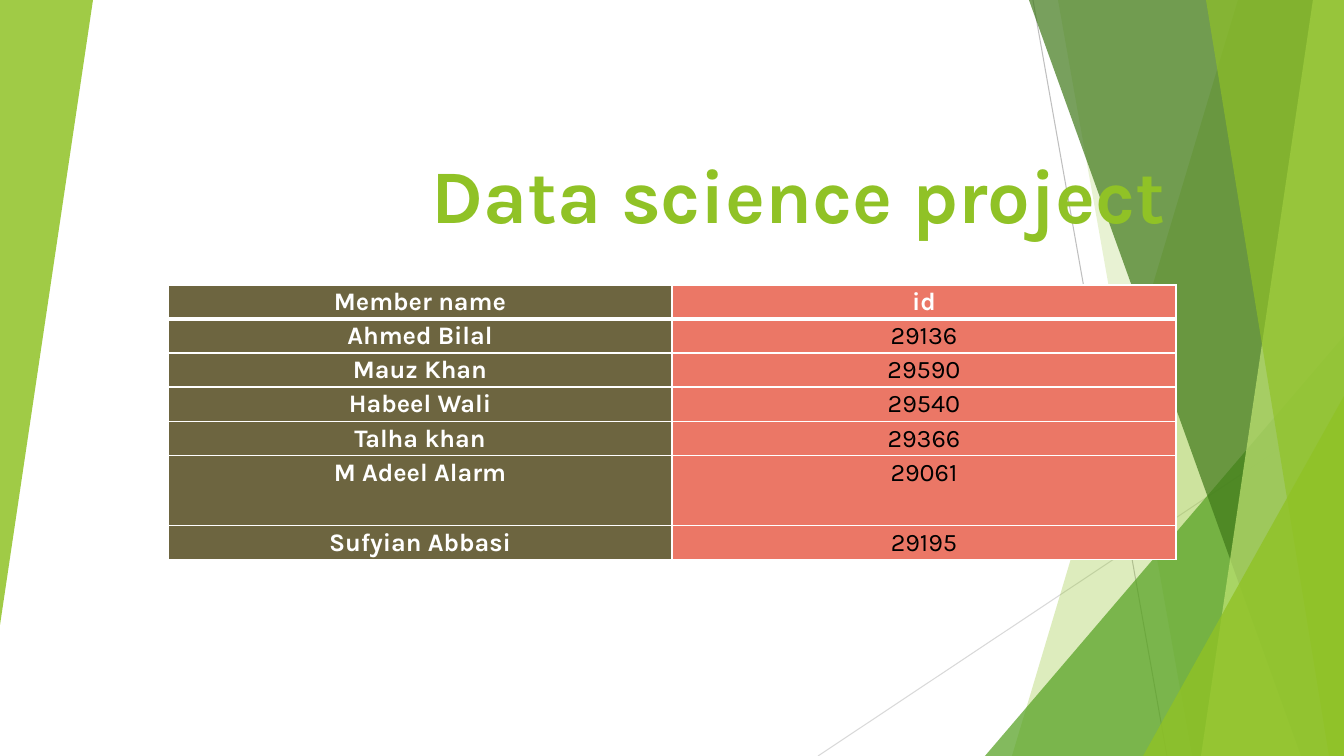
from pptx import Presentation
from pptx.dml.color import RGBColor
from pptx.enum.shapes import MSO_CONNECTOR, MSO_SHAPE
from pptx.enum.text import MSO_ANCHOR, PP_ALIGN
from pptx.oxml.ns import qn
from pptx.oxml.xmlchemy import OxmlElement
from pptx.util import Pt

# Enum members
STRAIGHT = MSO_CONNECTOR.STRAIGHT
TRIANGLE = MSO_SHAPE.ISOSCELES_TRIANGLE
BOTTOM = MSO_ANCHOR.BOTTOM
CENTER, RIGHT = PP_ALIGN.CENTER, PP_ALIGN.RIGHT

# Scale: picture pixels to EMU
EMU_PER_PIXEL = 914400 / 100.8
WIDTH, HEIGHT = 1344, 756

FONT = "Karla"
WHITE = RGBColor(0xFF, 0xFF, 0xFF)
BLACK = RGBColor(0x00, 0x00, 0x00)
GRAY = RGBColor(0xBF, 0xBF, 0xBF)
LIGHT_GRAY = RGBColor(0xD9, 0xD9, 0xD9)
LIME = RGBColor(0x90, 0xC2, 0x26)
PALE_LIME = RGBColor(0xC0, 0xE4, 0x74)
GREEN = RGBColor(0x54, 0xA0, 0x21)
DARK_GREEN = RGBColor(0x3F, 0x78, 0x19)
OLIVE = RGBColor(0x6D, 0x65, 0x40)
CORAL = RGBColor(0xEB, 0x77, 0x66)

MEMBERS = [
    ("Member name", "id"),
    ("Ahmed Bilal", "29136"),
    ("Mauz Khan", "29590"),
    ("Habeel Wali", "29540"),
    ("Talha khan", "29366"),
    ("M Adeel Alarm", "29061"),
    ("Sufyian Abbasi", "29195"),
]
ROW_HEIGHTS = [34, 34, 34, 35, 34, 70, 34]


def px(value):
    return round(value * EMU_PER_PIXEL)


def set_values(target, values):
    for name, value in values.items():
        setattr(target, name, value)


def write_text(paragraph, text, size, color, bold, alignment):
    paragraph.alignment = alignment
    run = paragraph.add_run()
    run.text = text
    set_values(run.font, {"name": FONT, "size": Pt(size), "bold": bold})
    run.font.color.rgb = color


def add_line(slide, start, end, color):
    line = slide.shapes.add_connector(STRAIGHT, *map(px, start + end))
    line.line.color.rgb = color
    line.line.width = Pt(0.75)
    line._element.spPr.append(OxmlElement("a:effectLst"))


def paint(shape, color, opacity):
    shape.shadow.inherit = False
    shape.fill.solid()
    shape.fill.fore_color.rgb = color
    shape.line.fill.background()
    alpha = OxmlElement("a:alpha")
    alpha.set("val", str(opacity * 1000))
    shape._element.spPr.find(".//" + qn("a:srgbClr")).append(alpha)


def add_band(slide, top_left, bottom_left, color, opacity):
    """Full-height band that reaches the right edge of the slide."""
    builder = slide.shapes.build_freeform(top_left, 0, scale=EMU_PER_PIXEL)
    builder.add_line_segments(
        [(WIDTH, 0), (WIDTH, HEIGHT), (bottom_left, HEIGHT)], close=True)
    paint(builder.convert_to_shape(), color, opacity)


def add_triangle(slide, left, top, width, height, color, opacity, rotation=0):
    shape = slide.shapes.add_shape(
        TRIANGLE, *map(px, (left, top, width, height)))
    shape.adjustments[0] = 1
    shape.rotation = rotation
    paint(shape, color, opacity)


def add_title(slide, text):
    box = slide.shapes.add_textbox(px(168), px(124), px(1008), px(120))
    set_values(box.text_frame, {"word_wrap": True, "vertical_anchor": BOTTOM})
    write_text(box.text_frame.paragraphs[0], text, 54, LIME, True, RIGHT)


def set_borders(cell, widths):
    properties = cell._tc.get_or_add_tcPr()
    for index, (side, points) in enumerate(widths.items()):
        border = OxmlElement("a:ln" + side)
        border.set("w", str(Pt(points)))
        fill = OxmlElement("a:solidFill")
        color = OxmlElement("a:srgbClr")
        color.set("val", str(WHITE))
        fill.append(color)
        border.append(fill)
        properties.insert(index, border)


def add_member_table(slide):
    frame = slide.shapes.add_table(
        len(MEMBERS), 2, px(168), px(285), px(1008), px(sum(ROW_HEIGHTS)))
    table = frame.table
    for row_index, (member, height) in enumerate(zip(MEMBERS, ROW_HEIGHTS)):
        table.rows[row_index].height = px(height)
        for column_index, text in enumerate(member):
            cell = table.cell(row_index, column_index)
            is_heading = row_index == 0 or column_index == 0
            set_values(cell, {"margin_left": px(7), "margin_right": px(7),
                              "margin_top": 0, "margin_bottom": 0})
            cell.fill.solid()
            cell.fill.fore_color.rgb = CORAL if column_index else OLIVE
            set_borders(cell, {"L": 1, "R": 1,
                               "T": 3 if row_index == 1 else 1,
                               "B": 3 if row_index == 0 else 1})
            paragraph = cell.text_frame.paragraphs[0]
            paragraph.line_spacing = 1.07
            write_text(paragraph, text, 18, WHITE if is_heading else BLACK,
                       is_heading, CENTER)


def main():
    presentation = Presentation()
    presentation.slide_width = px(WIDTH)
    presentation.slide_height = px(HEIGHT)
    slide = presentation.slides.add_slide(presentation.slide_layouts[6])

    # Background lines and translucent facets, back to front
    add_line(slide, (1033, 0), (1167, HEIGHT), GRAY)
    add_line(slide, (WIDTH, 406), (818, HEIGHT), LIGHT_GRAY)
    add_band(slide, 1238, 1012, LIME, 30)
    add_band(slide, 1058, 1192, LIME, 20)
    add_triangle(slide, 985, 336, 359, 420, GREEN, 72)
    add_band(slide, 1029, 1301, DARK_GREEN, 70)
    add_band(slide, 1313, 1201, PALE_LIME, 70)
    add_band(slide, 1206, 1329, LIME, 65)
    add_triangle(slide, 1143, 396, 201, 360, LIME, 80)
    add_triangle(slide, 0, 0, 93, 625, LIME, 85, rotation=180)

    # Title and member list
    add_title(slide, "Data science project")
    add_member_table(slide)

    presentation.save("out.pptx")


main()
